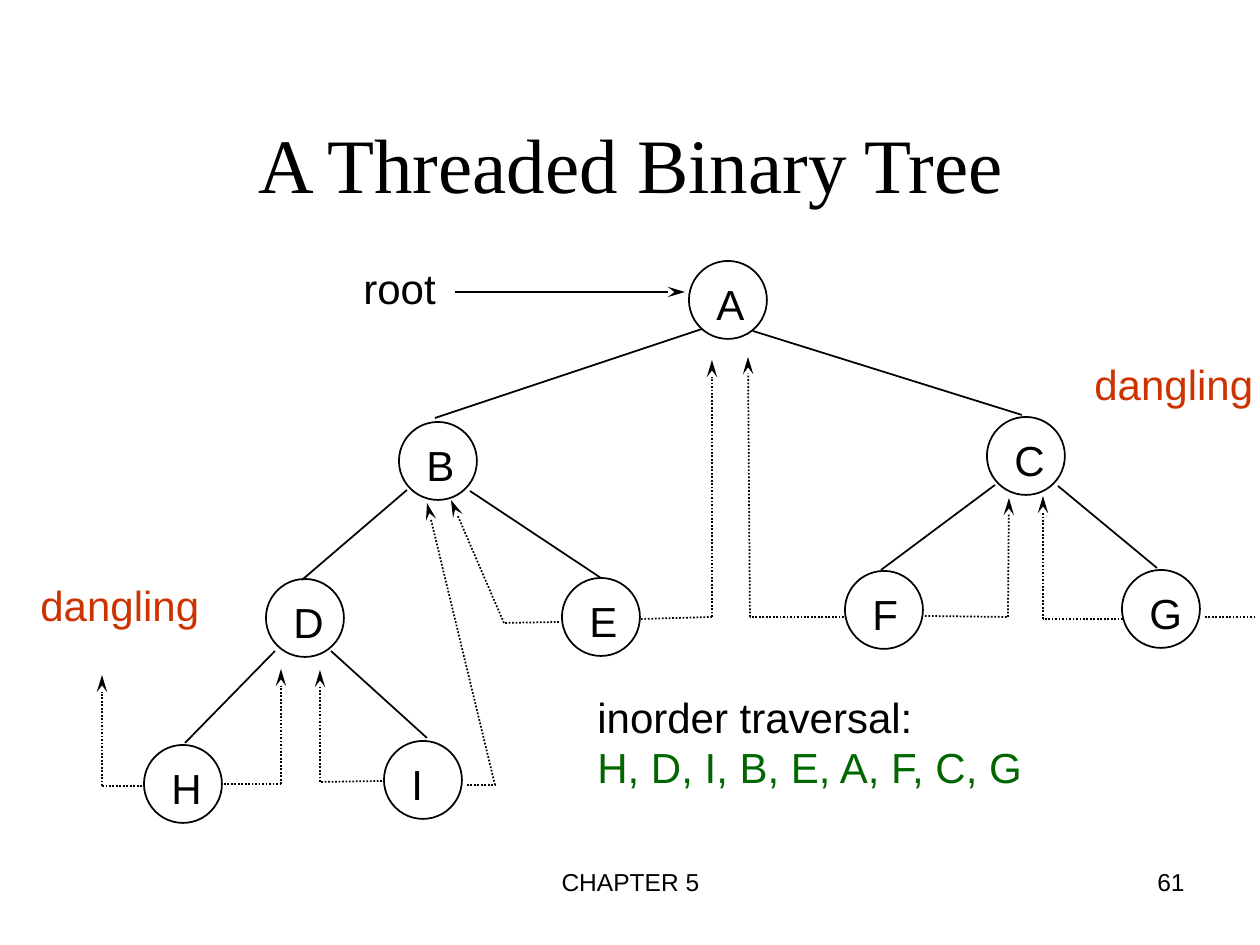
from itertools import pairwise

from pptx import Presentation
from pptx.dml.color import RGBColor
from pptx.enum.dml import MSO_LINE
from pptx.enum.shapes import MSO_CONNECTOR, MSO_SHAPE
from pptx.enum.text import MSO_ANCHOR, MSO_AUTO_SIZE, PP_ALIGN
from pptx.oxml.ns import qn
from pptx.util import Emu, Pt
from lxml import etree

STRAIGHT = MSO_CONNECTOR.STRAIGHT
OVAL = MSO_SHAPE.OVAL
DOTTED = MSO_LINE.ROUND_DOT
LEFT, CENTER, RIGHT = PP_ALIGN.LEFT, PP_ALIGN.CENTER, PP_ALIGN.RIGHT
TOP, MIDDLE = MSO_ANCHOR.TOP, MSO_ANCHOR.MIDDLE
FIT = MSO_AUTO_SIZE.SHAPE_TO_FIT_TEXT

BLACK = RGBColor(0x00, 0x00, 0x00)
RED = RGBColor(0xCC, 0x33, 0x00)
GREEN = RGBColor(0x00, 0x66, 0x00)

SCALE = 914400 // 126  # EMU per px
NODE_SIZE = 78
LABEL_DX, LABEL_DY = 15, 11
LABEL_HEIGHT = 63

# Letter, left and top of the circle, width of the label
NODES = [
    ("A", 689, 261, 53),
    ("B", 399, 422, 53),
    ("C", 987, 417, 55),
    ("D", 266, 579, 55),
    ("E", 562, 578, 53),
    ("F", 845, 571, 51),
    ("G", 1122, 570, 58),
    ("H", 144, 745, 55),
    ("I", 384, 741, 37),
]

# Parent to child
EDGES = [
    [(702, 329), (435, 418)],
    [(753, 331), (1022, 415)],
    [(407, 490), (302, 580)],
    [(470, 491), (601, 578)],
    [(995, 485), (881, 570)],
    [(1058, 486), (1157, 568)],
    [(275, 651), (185, 743)],
    [(331, 651), (427, 738)],
]

# Node, corner, arrow tip
THREADS = [
    [(467, 785), (495, 785), (427, 503)],
    [(559, 622), (504, 623), (451, 500)],
    [(224, 784), (281, 784), (281, 669)],
    [(382, 781), (320, 782), (320, 670)],
    [(844, 617), (750, 617), (748, 357)],
    [(1123, 619), (1043, 619), (1043, 496)],
    [(142, 786), (102, 786), (102, 675)],
    [(641, 619), (712, 617), (712, 360)],
    [(925, 616), (1008, 617), (1009, 498)],
]


def px(*values):
    return [Emu(v * SCALE) for v in values]


def add_text(shapes, box, lines, size=24, font="Arial", align=LEFT,
             anchor=TOP, wrap=False):
    """Add a text box; lines holds (text, colour) pairs."""
    tf = shapes.add_textbox(*px(*box)).text_frame
    tf.word_wrap = wrap
    tf.vertical_anchor = anchor
    if not wrap:
        tf.auto_size = FIT
    tf.text = "\n".join(text for text, _ in lines)
    for p, (_, color) in zip(tf.paragraphs, lines):
        p.alignment = align
        for r in p.runs:
            r.font.name = font
            r.font.size = Pt(size)
            r.font.color.rgb = color


def add_node(shapes, letter, left, top, label_width):
    group = shapes.add_group_shape()
    circle = group.shapes.add_shape(OVAL, *px(left, top, NODE_SIZE, NODE_SIZE))
    circle.shadow.inherit = False
    circle.fill.background()
    circle.line.color.rgb = BLACK
    circle.line.width = Pt(1)
    label = (left + LABEL_DX, top + LABEL_DY, label_width, LABEL_HEIGHT)
    add_text(group.shapes, label, [(letter, BLACK)])


def add_line(shapes, start, end, dotted=False, arrow=False):
    cxn = shapes.add_connector(STRAIGHT, *px(*start, *end))
    cxn.line.color.rgb = BLACK
    cxn.line.width = Pt(1)
    if dotted:
        cxn.line.dash_style = DOTTED
    if arrow:
        etree.SubElement(cxn.line._get_or_add_ln(), qn("a:tailEnd"),
                         type="stealth", w="med", len="lg")
    etree.SubElement(cxn._element.spPr, qn("a:effectLst"))


def add_thread(shapes, points):
    for start, end in pairwise(points):
        add_line(shapes, start, end, dotted=True, arrow=end == points[-1])


def main():
    prs = Presentation()
    prs.slide_width, prs.slide_height = px(1260, 945)
    shapes = prs.slides.add_slide(prs.slide_layouts[6]).shapes

    # Footer and title
    add_text(shapes, (431, 861, 399, 66), [("CHAPTER 5", BLACK)],
             size=14, align=CENTER, wrap=True)
    add_text(shapes, (903, 861, 294, 66), [("61", BLACK)],
             size=14, align=RIGHT, wrap=True)
    add_text(shapes, (0, 84, 1262, 158), [("A Threaded Binary Tree", BLACK)],
             size=44, font="Times New Roman", align=CENTER, anchor=MIDDLE,
             wrap=True)

    # Tree
    for node in NODES:
        add_node(shapes, *node)
    for start, end in EDGES:
        add_line(shapes, start, end)

    # Threads, the last one running to the slide edge without an arrow
    for points in THREADS:
        add_thread(shapes, points)
    add_line(shapes, (1205, 617), (1257, 617), dotted=True)

    # Root pointer and captions
    add_line(shapes, (455, 292), (685, 292), arrow=True)
    add_text(shapes, (351, 256, 98, 63), [("root", BLACK)])
    for left, top in [(28, 573), (1082, 352)]:
        add_text(shapes, (left, top, 184, 63), [("dangling", RED)])
    add_text(shapes, (585, 685, 456, 113),
             [("inorder traversal:", BLACK),
              ("H, D, I, B, E, A, F, C, G", GREEN)])

    prs.save("out.pptx")


if __name__ == "__main__":
    main()
